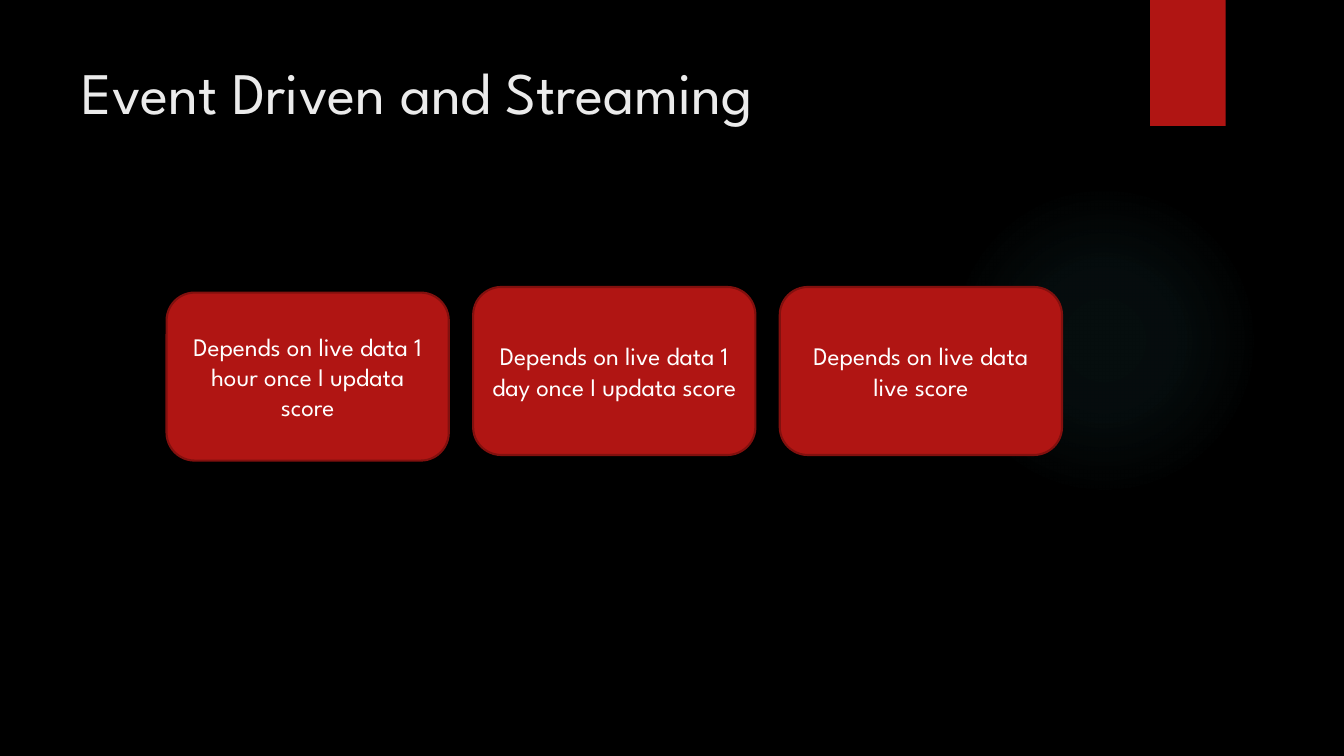
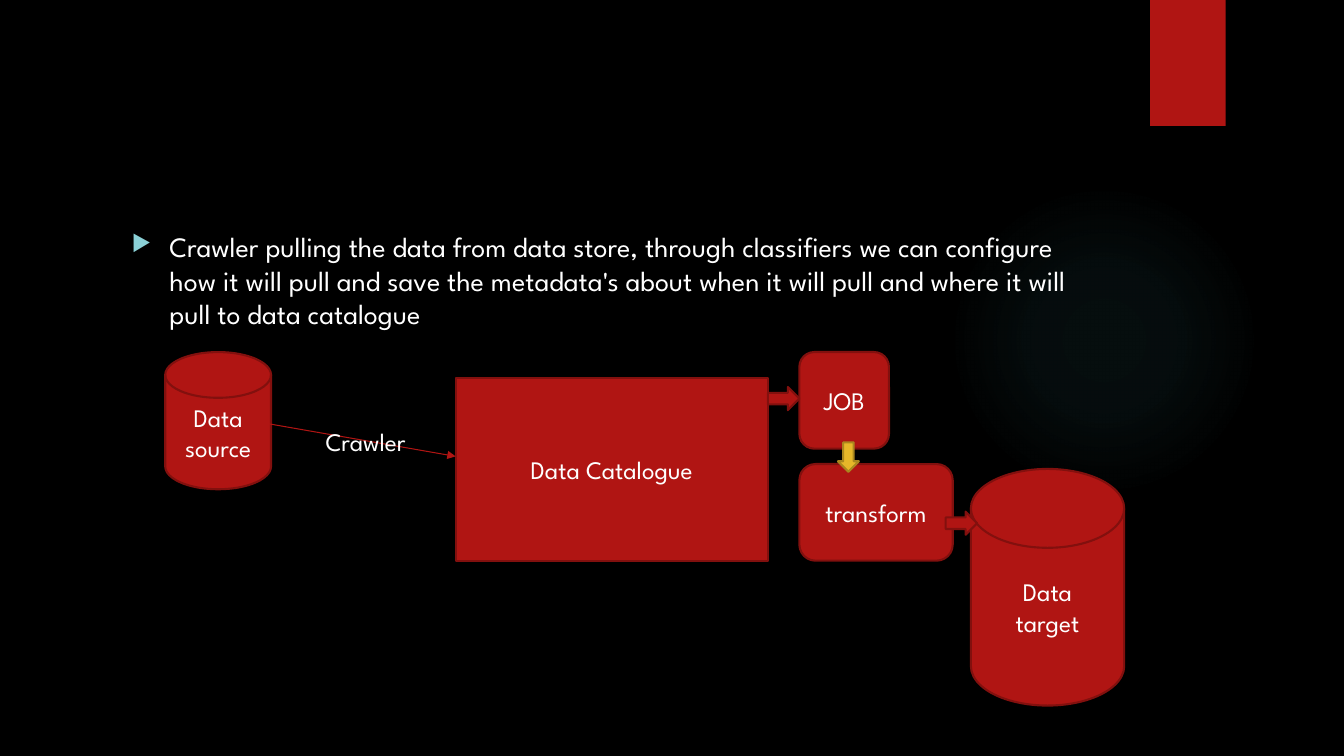
"""Build two dark slides on event-driven data and a crawler pipeline."""
from dataclasses import dataclass

from lxml import etree
from pptx import Presentation
from pptx.dml.color import RGBColor
from pptx.enum.shapes import MSO_CONNECTOR, MSO_SHAPE
from pptx.enum.text import MSO_ANCHOR, MSO_AUTO_SIZE, PP_ALIGN
from pptx.oxml import parse_xml
from pptx.oxml.ns import qn
from pptx.presentation import Presentation as Deck
from pptx.shapes.autoshape import Shape
from pptx.slide import Slide
from pptx.text.text import TextFrame
from pptx.util import Pt

RECT = MSO_SHAPE.RECTANGLE
ROUNDED = MSO_SHAPE.ROUNDED_RECTANGLE
DISK = MSO_SHAPE.FLOWCHART_MAGNETIC_DISK
ARROW = MSO_SHAPE.RIGHT_ARROW
OVAL = MSO_SHAPE.OVAL
STRAIGHT = MSO_CONNECTOR.STRAIGHT
LEFT, CENTER = PP_ALIGN.LEFT, PP_ALIGN.CENTER
TOP, MIDDLE = MSO_ANCHOR.TOP, MSO_ANCHOR.MIDDLE
GROW = MSO_AUTO_SIZE.SHAPE_TO_FIT_TEXT

FONT = "League Spartan"
COLORS = {
    "background": "000000", "title": "EBEBEB", "text": "FFFFFF",
    "red": "B01513", "red_edge": "82100E",
    "gold": "E6B729", "gold_edge": "AA871E",
    "bullet": "8AD0D6", "glow": "50B9C1",
}
GLOW_STOPS = ((0, 7), (36, 6), (69, 0))
DRAWING_NS = "http://schemas.openxmlformats.org/drawingml/2006/main"


@dataclass(frozen=True)
class Box:
    """Left, top, width and height in points."""
    left: float
    top: float
    width: float
    height: float

    def lengths(self) -> tuple[Pt, Pt, Pt, Pt]:
        """Return the four lengths for python-pptx."""
        return Pt(self.left), Pt(self.top), Pt(self.width), Pt(self.height)


@dataclass(frozen=True)
class Node:
    """A filled and outlined diagram part."""
    box: Box
    kind: MSO_SHAPE
    lines: tuple[str, ...] = ()
    color: str = "red"
    rotation: float = 0


CARD_LEFT, CARD_STEP, CARD_WIDTH, CARD_HEIGHT = 119, 219, 201.6, 120
CARDS = (
    (209, "Depends on live data 1 hour once I updata score"),
    (205, "Depends on live data 1 day once I updata score"),
    (205, "Depends on live data live score"),
)
STAGES = (
    Node(Box(118, 251.5, 75.6, 98), DISK, ("Data", "source")),
    Node(Box(325.5, 270, 223, 130.5), RECT, ("Data Catalogue",)),
    Node(Box(571, 251.5, 64, 69), ROUNDED, ("JOB",)),
    Node(Box(571, 331.5, 109.5, 69), ROUNDED, ("transform",)),
    Node(Box(693.5, 335, 109.5, 169), DISK, ("Data", "target")),
)
FLOWS = (
    Node(Box(548.5, 276.5, 22.5, 16.5), ARROW),
    Node(Box(595.5, 319, 21, 15), ARROW, color="gold", rotation=90),
    Node(Box(675.5, 365.5, 22.5, 16.5), ARROW),
)


def rgb(name: str) -> RGBColor:
    """Look up a named colour."""
    return RGBColor.from_string(COLORS[name])


def write(frame: TextFrame, lines: tuple[str, ...], size: float, color: str = "text",
          align: PP_ALIGN = LEFT, anchor: MSO_ANCHOR = TOP) -> None:
    """Write one styled paragraph per line."""
    frame.word_wrap = True
    frame.vertical_anchor = anchor
    for index, line in enumerate(lines):
        paragraph = frame.add_paragraph() if index else frame.paragraphs[0]
        paragraph.alignment = align
        run = paragraph.add_run()
        run.text = line
        run.font.name = FONT
        run.font.size = Pt(size)
        run.font.color.rgb = rgb(color)


def add_text(slide: Slide, box: Box, text: str, size: float, color: str = "text") -> TextFrame:
    """Add a text box and return its frame."""
    frame = slide.shapes.add_textbox(*box.lengths()).text_frame
    write(frame, (text,), size, color)
    return frame


def add_plain(slide: Slide, box: Box, kind: MSO_SHAPE, color: str) -> Shape:
    """Add a filled shape without outline or shadow."""
    shape = slide.shapes.add_shape(kind, *box.lengths())
    shape.shadow.inherit = False
    shape.fill.solid()
    shape.fill.fore_color.rgb = rgb(color)
    shape.line.fill.background()
    return shape


def add_node(slide: Slide, node: Node) -> None:
    """Add a diagram part with its label."""
    shape = add_plain(slide, node.box, node.kind, node.color)
    shape.line.color.rgb = rgb(f"{node.color}_edge")
    shape.line.width = Pt(1.5)
    shape.rotation = node.rotation
    write(shape.text_frame, node.lines, 18, align=CENTER, anchor=MIDDLE)


def add_glow(slide: Slide) -> None:
    """Add the faint radial glow."""
    glow = add_plain(slide, Box(677.5, 132, 222, 222), OVAL, "glow")
    stops = "".join(
        f'<a:gs pos="{position * 1000}"><a:srgbClr val="{COLORS["glow"]}">'
        f'<a:alpha val="{opacity * 1000}"/></a:srgbClr></a:gs>'
        for position, opacity in GLOW_STOPS)
    gradient = parse_xml(
        f'<a:gradFill xmlns:a="{DRAWING_NS}"><a:gsLst>{stops}</a:gsLst>'
        '<a:path path="circle"><a:fillToRect l="50000" t="50000" r="50000" b="50000"/>'
        '</a:path></a:gradFill>')
    properties = glow.element.spPr
    properties.replace(properties.find(qn("a:solidFill")), gradient)


def add_bullet(frame: TextFrame) -> None:
    """Give the first paragraph a coloured triangle bullet."""
    paragraph = frame.paragraphs[0]
    paragraph.space_before = Pt(10)
    properties = paragraph._p.get_or_add_pPr()
    properties.set("marL", str(Pt(27)))
    properties.set("indent", str(Pt(-27)))
    color = etree.SubElement(properties, qn("a:buClr"))
    etree.SubElement(color, qn("a:srgbClr"), val=COLORS["bullet"])
    etree.SubElement(properties, qn("a:buSzPct"), val="80000")
    etree.SubElement(properties, qn("a:buChar"), char="▶")


def add_crawler_line(slide: Slide) -> None:
    """Draw the arrow from the data source to the catalogue."""
    crawler = slide.shapes.add_connector(STRAIGHT, Pt(182), Pt(301), Pt(325.5), Pt(326))
    crawler.line.color.rgb = rgb("red")
    crawler.line.width = Pt(0.75)
    etree.SubElement(crawler.line._get_or_add_ln(), qn("a:tailEnd"), type="triangle")
    etree.SubElement(crawler._element.spPr, qn("a:effectLst"))


def add_base(deck: Deck) -> Slide:
    """Add a blank slide with the shared decoration."""
    slide = deck.slides.add_slide(deck.slide_layouts[6])
    slide.background.fill.solid()
    slide.background.fill.fore_color.rgb = rgb("background")
    add_glow(slide)
    add_plain(slide, Box(821.5, 0, 54, 90), RECT, "red")
    return slide


def build_streaming(deck: Deck) -> None:
    """Build the slide with three update frequencies."""
    slide = add_base(deck)
    add_text(slide, Box(51, 36, 741, 110), "Event Driven and Streaming", 42, "title")
    for index, (top, text) in enumerate(CARDS):
        box = Box(CARD_LEFT + index * CARD_STEP, top, CARD_WIDTH, CARD_HEIGHT)
        add_node(slide, Node(box, ROUNDED, (text,)))


def build_pipeline(deck: Deck) -> None:
    """Build the slide with the crawler pipeline."""
    slide = add_base(deck)
    add_bullet(add_text(
        slide, Box(87, 160.5, 704, 330.5),
        "Crawler pulling the data from data store, through classifiers we can configure "
        "how it will pull and save the metadata's about when it will pull and where it "
        "will pull to data catalogue", 20))
    for stage in STAGES:
        add_node(slide, stage)
    add_crawler_line(slide)
    label = add_text(slide, Box(225.5, 301, 83.5, 29), "Crawler", 18)
    label.word_wrap = False
    label.auto_size = GROW
    for flow in FLOWS:
        add_node(slide, flow)


def main() -> None:
    """Build and save the deck."""
    deck = Presentation()
    deck.slide_width, deck.slide_height = Pt(960), Pt(540)
    build_streaming(deck)
    build_pipeline(deck)
    deck.save("out.pptx")


if __name__ == "__main__":
    main()
